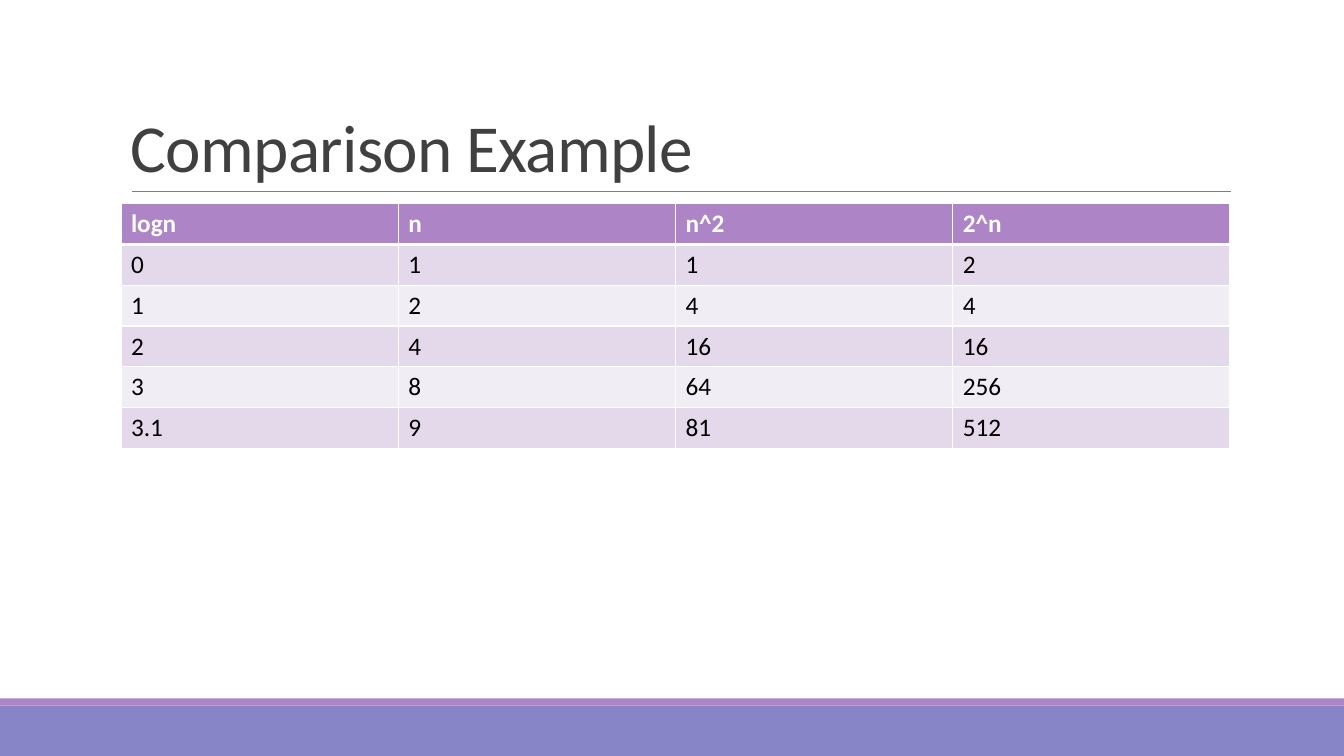
from lxml.etree import SubElement
from pptx import Presentation
from pptx.dml.color import RGBColor
from pptx.enum.shapes import MSO_CONNECTOR, MSO_SHAPE
from pptx.enum.text import MSO_ANCHOR
from pptx.oxml.ns import qn
from pptx.util import Inches, Pt

COLORS = {
    "title": "404040",
    "rule": "808080",
    "header": "AD84C6",
    "footer": "8784C7",
    "odd_row": "E3D9EA",
    "even_row": "F1EDF5",
    "body": "000000",
    "white": "FFFFFF",
}
GROWTH = [
    ["logn", "n", "n^2", "2^n"],
    ["0", "1", "1", "2"],
    ["1", "2", "4", "4"],
    ["2", "4", "16", "16"],
    ["3", "8", "64", "256"],
    ["3.1", "9", "81", "512"],
]


def color(key):
    return RGBColor.from_string(COLORS[key])


def write(frame, wording, color_key, **font_format):
    run = frame.paragraphs[0].add_run()
    run.text = wording
    run.font.color.rgb = color(color_key)
    for attribute, value in {"name": "Calibri", **font_format}.items():
        setattr(run.font, attribute, value)
    return run


def add_footer(slide, left, top, width, height):
    stripe = 0.07
    bands = [("footer", top + stripe, height - stripe), ("header", top, stripe)]
    for color_key, band_top, band_height in bands:
        band = slide.shapes.add_shape(
            MSO_SHAPE.RECTANGLE,
            Inches(left), Inches(band_top), Inches(width), Inches(band_height),
        )
        band.shadow.inherit = False
        band.fill.solid()
        band.fill.fore_color.rgb = color(color_key)
        band.line.fill.background()


def add_heading(slide, left, top, width, height, wording):
    bottom = Inches(top + height)
    rule = slide.shapes.add_connector(
        MSO_CONNECTOR.STRAIGHT,
        Inches(left + 0.11), bottom, Inches(left + width + 0.01), bottom,
    )
    rule.line.color.rgb = color("rule")
    rule.line.width = Pt(0.5)
    SubElement(rule._element.spPr, qn("a:effectLst"))

    heading = slide.shapes.add_textbox(
        Inches(left), Inches(top), Inches(width), Inches(height)
    )
    frame = heading.text_frame
    frame.word_wrap = True
    frame.vertical_anchor = MSO_ANCHOR.BOTTOM
    frame.paragraphs[0].line_spacing = 0.85
    title = write(frame, wording, "title", size=Pt(48))
    title._r.get_or_add_rPr().set("spc", "-50")


def add_borders(cell, bottom_points):
    properties = cell._tc.get_or_add_tcPr()
    for side, points in {"L": 1, "R": 1, "T": 1, "B": bottom_points}.items():
        border = SubElement(properties, qn(f"a:ln{side}"), w=str(Pt(points)))
        fill = SubElement(border, qn("a:solidFill"))
        SubElement(fill, qn("a:srgbClr"), val=COLORS["white"])


def add_growth_table(slide, left, top, width, height, rows):
    growth = slide.shapes.add_table(
        len(rows), len(rows[0]),
        Inches(left), Inches(top), Inches(width), Inches(height),
    ).table
    for row_index, row in enumerate(rows):
        is_header = row_index == 0
        row_fill = "header" if is_header else ("even_row", "odd_row")[row_index % 2]
        for column_index, wording in enumerate(row):
            cell = growth.cell(row_index, column_index)
            add_borders(cell, 3 if is_header else 1)
            cell.fill.solid()
            cell.fill.fore_color.rgb = color(row_fill)
            write(
                cell.text_frame, wording, "white" if is_header else "body",
                size=Pt(18), bold=is_header,
            )


def main():
    deck = Presentation()
    deck.slide_width = Inches(13.33)
    deck.slide_height = Inches(7.5)
    slide = deck.slides.add_slide(deck.slide_layouts[6])
    add_footer(slide, 0, 6.93, 13.33, 0.57)
    add_heading(slide, 1.2, 0.31, 11, 1.59, "Comparison Example")
    add_growth_table(slide, 1.2, 2.02, 11, 2.43, GROWTH)
    deck.save("out.pptx")


if __name__ == "__main__":
    main()
